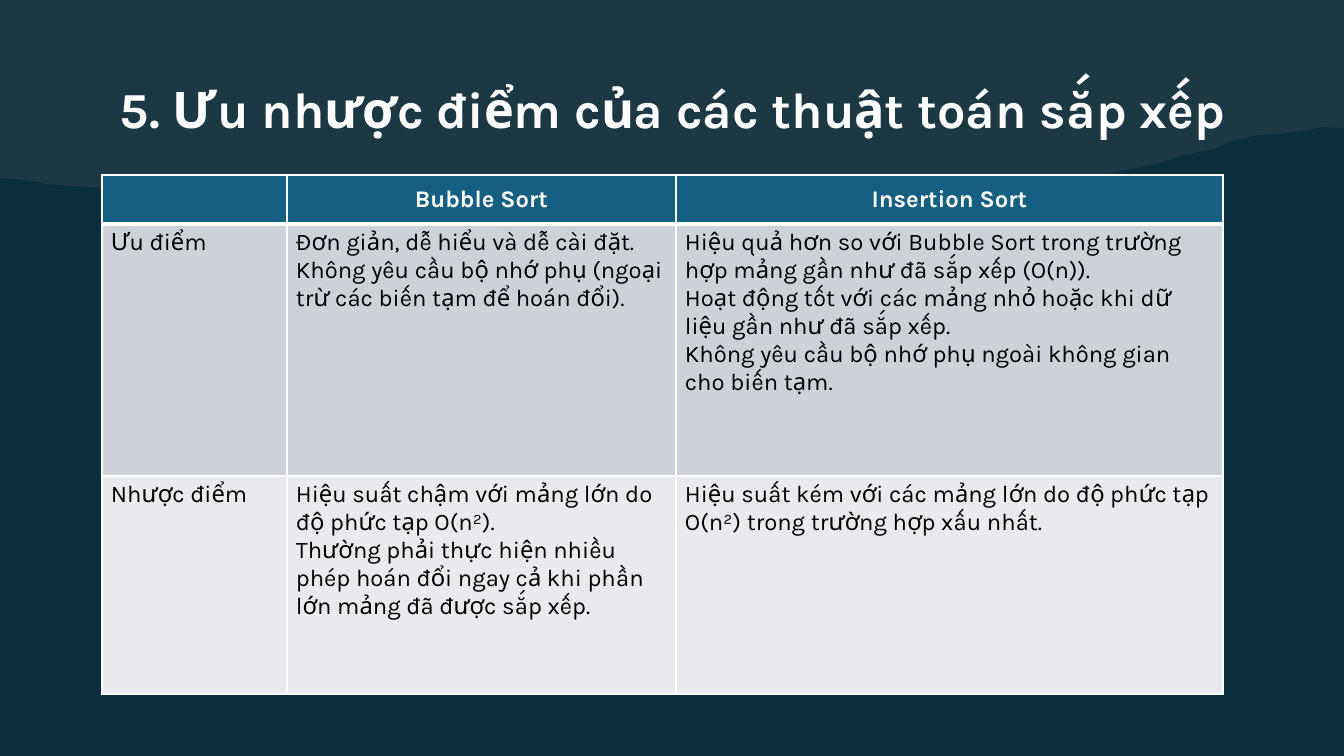
import pptx
import pptx.util
import pptx.dml.color
import pptx.enum.text
import pptx.oxml
import pptx.oxml.ns
from lxml import etree

PIXEL = 914400 / 100.8
FONT = "Karla"
COLOURS = {
    "background": "0A2E3E",
    "mountain": "82766A",
    "header": "156082",
    "advantages": "CCD2D8",
    "drawbacks": "E8EAED",
    "light": "FFFFFF",
    "dark": "000000",
}
RIDGE = [
    (1344, 128), (1322, 127), (1308, 130), (1280, 134), (1257, 135), (1239, 140),
    (1228, 142), (1215, 149), (1202, 151), (1178, 157), (1159, 163), (1145, 166),
    (1114, 173), (1093, 180), (1077, 186), (1061, 192), (1040, 194), (1017, 199),
    (985, 202), (949, 205), (906, 208), (889, 212), (854, 216), (822, 215),
    (793, 216), (765, 216), (753, 218), (741, 221), (724, 222), (705, 224),
    (679, 226), (672, 230), (661, 228), (641, 229), (623, 226), (615, 223),
    (603, 223), (589, 225), (577, 223), (554, 224), (524, 223), (499, 222),
    (481, 219), (468, 216), (452, 215), (442, 213), (415, 211), (405, 208),
    (389, 208), (373, 206), (359, 205), (346, 207), (313, 211), (300, 211),
    (283, 214), (274, 215), (256, 214), (238, 212), (224, 210), (207, 208),
    (195, 205), (186, 201), (165, 199), (153, 194), (145, 191), (132, 191),
    (115, 189), (93, 187), (70, 186), (46, 184), (39, 182), (28, 181),
    (16, 179), (0, 178),
]
COLUMN_WIDTHS = [185, 389, 547]
ROW_HEIGHTS = [49, 252, 218]
ROW_FILLS = ["header", "advantages", "drawbacks"]
COMPARISON = [
    [[], ["Bubble Sort"], ["Insertion Sort"]],
    [
        ["Ưu điểm"],
        [
            "Đơn giản, dễ hiểu và dễ cài đặt.",
            "Không yêu cầu bộ nhớ phụ (ngoại trừ các biến tạm để hoán đổi).",
        ],
        [
            "Hiệu quả hơn so với Bubble Sort trong trường hợp mảng gần như đã sắp xếp (O(n)).",
            "Hoạt động tốt với các mảng nhỏ hoặc khi dữ liệu gần như đã sắp xếp.",
            "Không yêu cầu bộ nhớ phụ ngoài không gian cho biến tạm.",
        ],
    ],
    [
        ["Nhược điểm"],
        [
            "Hiệu suất chậm với mảng lớn do độ phức tạp O(n²).",
            "Thường phải thực hiện nhiều phép hoán đổi ngay cả khi phần lớn mảng đã được sắp xếp.",
        ],
        ["Hiệu suất kém với các mảng lớn do độ phức tạp O(n²) trong trường hợp xấu nhất."],
    ],
]


def px(length):
    return pptx.util.Emu(round(length * PIXEL))


def colour(name):
    return pptx.dml.color.RGBColor.from_string(COLOURS[name])


def paint(fill, name):
    fill.solid()
    fill.fore_color.rgb = colour(name)


def add_run(paragraph, text, size, name, bold):
    run = paragraph.add_run()
    run.text = text
    run.font.name = FONT
    run.font.size = pptx.util.Pt(size)
    run.font.bold = bold
    run.font.color.rgb = colour(name)


def add_mountain(slide):
    builder = slide.shapes.build_freeform(0, 0, scale=PIXEL)
    builder.add_line_segments([(1344, 0)] + RIDGE, close=True)
    mountain = builder.convert_to_shape()
    mountain.shadow.inherit = False
    mountain.line.fill.background()
    paint(mountain.fill, "mountain")
    tint = mountain.fill._xPr.find(".//" + pptx.oxml.ns.qn("a:srgbClr"))
    etree.SubElement(tint, pptx.oxml.ns.qn("a:alpha"), val="15000")


def add_title(slide, text, left, top, width, height):
    frame = slide.shapes.add_textbox(px(left), px(top), px(width), px(height)).text_frame
    frame.word_wrap = True
    frame.vertical_anchor = pptx.enum.text.MSO_ANCHOR.BOTTOM
    paragraph = frame.paragraphs[0]
    paragraph.alignment = pptx.enum.text.PP_ALIGN.CENTER
    paragraph.line_spacing = 0.9
    paragraph.space_after = pptx.util.Pt(6)
    add_run(paragraph, text, 36, "light", True)


def set_border(cell, side, points):
    border = etree.SubElement(
        cell._tc.get_or_add_tcPr(),
        pptx.oxml.ns.qn(f"a:ln{side}"),
        w=str(pptx.util.Pt(points)),
    )
    fill = etree.SubElement(border, pptx.oxml.ns.qn("a:solidFill"))
    etree.SubElement(fill, pptx.oxml.ns.qn("a:srgbClr"), val=COLOURS["light"])


def fill_cell(cell, lines, row):
    is_header = row == 0
    cell.margin_left = cell.margin_right = px(9)
    cell.margin_top = cell.margin_bottom = px(5)
    anchor = pptx.enum.text.MSO_ANCHOR
    cell.vertical_anchor = anchor.MIDDLE if is_header else anchor.TOP
    thick_side = {0: "B", 1: "T"}.get(row)
    for side in "LRTB":
        set_border(cell, side, 3 if side == thick_side else 1)
    paint(cell.fill, ROW_FILLS[row])
    frame = cell.text_frame
    for index, line in enumerate(lines):
        paragraph = frame.add_paragraph() if index else frame.paragraphs[0]
        if is_header:
            paragraph.alignment = pptx.enum.text.PP_ALIGN.CENTER
        add_run(paragraph, line, 17, "light" if is_header else "dark", is_header)


def add_comparison(slide, left, top):
    table = slide.shapes.add_table(
        len(ROW_HEIGHTS), len(COLUMN_WIDTHS), px(left), px(top),
        px(sum(COLUMN_WIDTHS)), px(sum(ROW_HEIGHTS)),
    ).table
    for column, width in zip(table.columns, COLUMN_WIDTHS):
        column.width = px(width)
    for row, height in enumerate(ROW_HEIGHTS):
        table.rows[row].height = px(height)
        for column, lines in enumerate(COMPARISON[row]):
            fill_cell(table.cell(row, column), lines, row)


def main():
    presentation = pptx.Presentation()
    presentation.slide_width = px(1344)
    presentation.slide_height = px(756)
    slide = presentation.slides.add_slide(presentation.slide_layouts[6])
    paint(slide.background.fill, "background")
    add_mountain(slide)
    add_title(slide, "5. Ưu nhược điểm của các thuật toán sắp xếp", 92, 54, 1161, 90)
    add_comparison(slide, 102, 175)
    presentation.save("out.pptx")


main()
